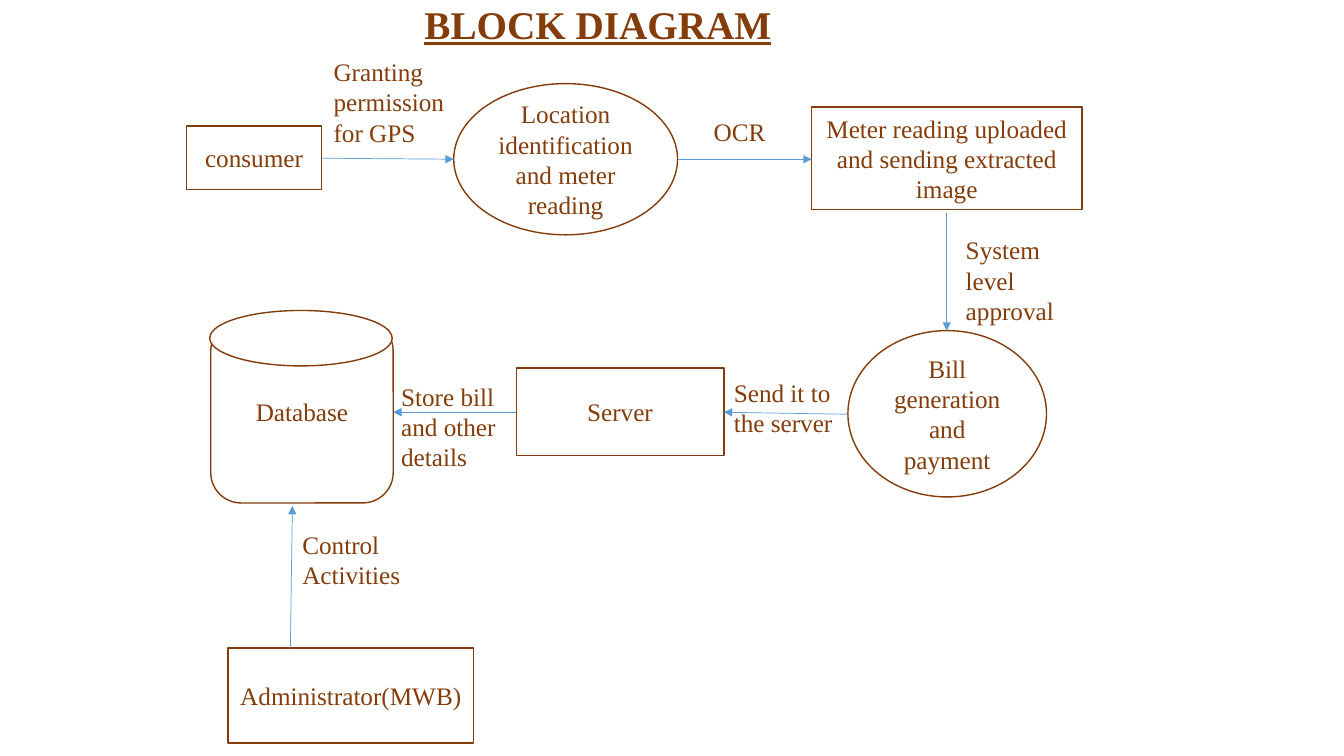
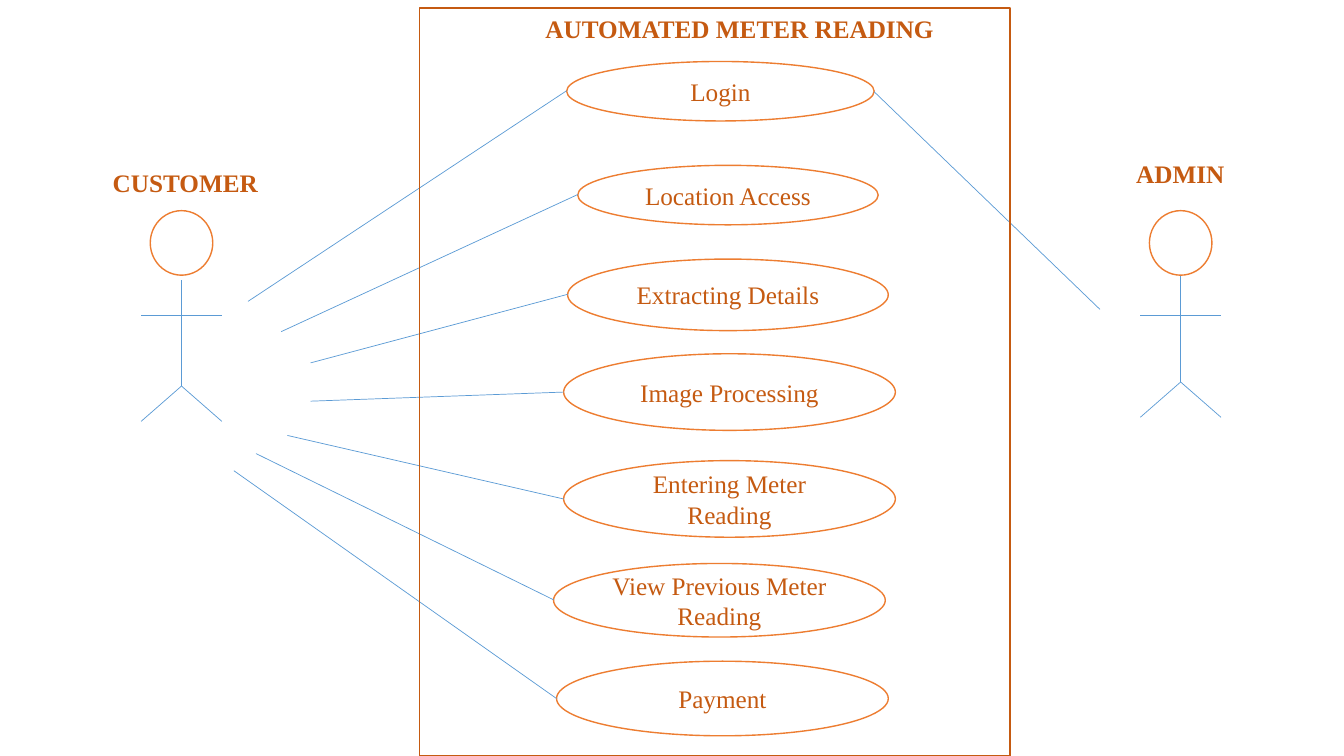
from lxml import etree
from pptx import Presentation
from pptx.dml.color import RGBColor
from pptx.enum.shapes import MSO_CONNECTOR, MSO_SHAPE
from pptx.enum.text import MSO_ANCHOR, MSO_AUTO_SIZE, PP_ALIGN
from pptx.oxml.ns import qn
from pptx.util import Emu, Pt

RECT = MSO_SHAPE.RECTANGLE
ROUND_RECT = MSO_SHAPE.ROUNDED_RECTANGLE
ELLIPSE = MSO_SHAPE.OVAL
STRAIGHT = MSO_CONNECTOR.STRAIGHT
LEFT, CENTER = PP_ALIGN.LEFT, PP_ALIGN.CENTER
TOP, MIDDLE = MSO_ANCHOR.TOP, MSO_ANCHOR.MIDDLE
NO_FIT = MSO_AUTO_SIZE.NONE
TITLE_ONLY = 5
EMU_PER_PX = 9144
FONT = "Times New Roman"
COLORS = {
    "white": "FFFFFF",
    "brown": "843C0B",
    "rust": "C55A11",
    "orange": "ED7D31",
    "blue": "5B9BD5",
}


def px(*values):
    return [Emu(v * EMU_PER_PX) for v in values]


def rgb(name):
    return RGBColor.from_string(COLORS[name])


class Diagram:
    def __init__(self, prs, text_color, line_color):
        self.slide = prs.slides.add_slide(prs.slide_layouts[TITLE_ONLY])
        self.text_color = text_color
        self.line_color = line_color

    def set_text(self, tf, text, size=18, bold=False, underline=False,
                 align=LEFT, anchor=TOP, wrap=True):
        tf.word_wrap = wrap
        tf.auto_size = NO_FIT
        tf.vertical_anchor = anchor
        p = tf.paragraphs[0]
        p.alignment = align
        r = p.add_run()
        r.text = text
        r.font.name = FONT
        r.font.size = Pt(size)
        r.font.bold = bold
        r.font.underline = underline
        r.font.color.rgb = rgb(self.text_color)

    def title(self, box, text, size=18, underline=False):
        sp = self.slide.shapes.title
        sp.left, sp.top, sp.width, sp.height = px(*box)
        self.set_text(sp.text_frame, text, size, True, underline, wrap=False)

    def label(self, box, text, bold=False, wrap=True):
        sp = self.slide.shapes.add_textbox(*px(*box))
        self.set_text(sp.text_frame, text, bold=bold, wrap=wrap)

    def node(self, kind, box, text=""):
        sp = self.slide.shapes.add_shape(kind, *px(*box))
        sp.shadow.inherit = False
        sp.fill.solid()
        sp.fill.fore_color.rgb = rgb("white")
        sp.line.color.rgb = rgb(self.line_color)
        sp.line.width = Pt(1)
        if text:
            self.set_text(sp.text_frame, text, align=CENTER, anchor=MIDDLE)
        return sp

    def frame(self, box, color):
        sp = self.node(RECT, box)
        sp.fill.background()
        sp.line.color.rgb = rgb(color)

    def line(self, x1, y1, x2, y2, arrow=False):
        cxn = self.slide.shapes.add_connector(STRAIGHT, *px(x1, y1, x2, y2))
        cxn.line.color.rgb = rgb("blue")
        cxn.line.width = Pt(0.5)
        sp_pr = cxn._element.spPr
        if arrow:
            ln = sp_pr.find(qn("a:ln"))
            etree.SubElement(ln, qn("a:tailEnd"), type="triangle")
        etree.SubElement(sp_pr, qn("a:effectLst"))

    def actor(self, x, neck):
        hip = neck + 105
        self.node(ELLIPSE, (x - 31, 209, 62, 64))
        self.line(x, neck, x, hip)
        self.line(x - 40, 313, x + 40, 313)
        for foot in (x - 40, x + 40):
            self.line(x, hip, foot, hip + 35)


def block_diagram(prs):
    s = Diagram(prs, "brown", "brown")
    s.title((411, -5, 368, 57), "BLOCK DIAGRAM", 28, underline=True)
    nodes = [
        (RECT, (185, 125, 134, 63), "consumer"),
        (ELLIPSE, (450, 83, 222, 150),
         "Location identification and meter reading"),
        (RECT, (805, 106, 268, 102),
         "Meter reading uploaded and sending extracted image"),
        (ELLIPSE, (841, 328, 197, 165), "Bill generation and payment"),
        (RECT, (512, 365, 206, 87), "Server"),
        (ROUND_RECT, (209, 318, 181, 181), "Database"),
        (ELLIPSE, (208, 308, 181, 55), ""),
        (RECT, (226, 643, 244, 94), "Administrator(MWB)"),
    ]
    for kind, box, text in nodes:
        s.node(kind, box, text)
    arrows = [
        (319, 157, 450, 158),
        (672, 158, 805, 158),
        (939, 211, 939, 328),
        (841, 411, 718, 409),
        (512, 409, 390, 409),
        (288, 643, 290, 502),
    ]
    for ends in arrows:
        s.line(*ends, arrow=True)
    labels = [
        ((321, 51, 132, 101), "Granting permission for GPS"),
        ((698, 111, 82, 40), "OCR"),
        ((948, 228, 148, 101), "System level approval"),
        ((718, 369, 129, 71), "Send it to the server"),
        ((388, 373, 142, 101), "Store bill and other details"),
        ((290, 520, 125, 71), "Control Activities"),
    ]
    for box, text in labels:
        s.label(box, text)


def use_cases(prs):
    s = Diagram(prs, "rust", "orange")
    s.title((531, 8, 409, 40), "AUTOMATED METER READING")
    s.label((102, 161, 166, 40), "CUSTOMER", bold=True, wrap=False)
    s.label((1117, 152, 109, 40), "ADMIN", bold=True, wrap=False)
    s.actor(180, 278)
    s.actor(1171, 274)
    cases = [
        ("Login", (562, 61, 305, 59), (246, 299)),
        ("Location Access", (573, 164, 298, 59), (279, 329)),
        ("Extracting Details", (563, 257, 318, 71), (308, 360)),
        ("Image Processing", (559, 351, 329, 76), (308, 398)),
        ("Entering Meter Reading", (559, 457, 329, 76), (285, 432)),
        ("View Previous Meter Reading", (549, 559, 329, 73), (254, 450)),
        ("Payment", (552, 656, 329, 74), (232, 467)),
    ]
    for text, box, start in cases:
        left, top, _, height = box
        s.node(ELLIPSE, box, text)
        s.line(*start, left, top + height // 2)
    s.line(867, 91, 1091, 307)
    s.frame((416, 8, 586, 742), "rust")


def main():
    prs = Presentation()
    prs.slide_width, prs.slide_height = px(1333, 750)
    block_diagram(prs)
    use_cases(prs)
    prs.save("out.pptx")


if __name__ == "__main__":
    main()
